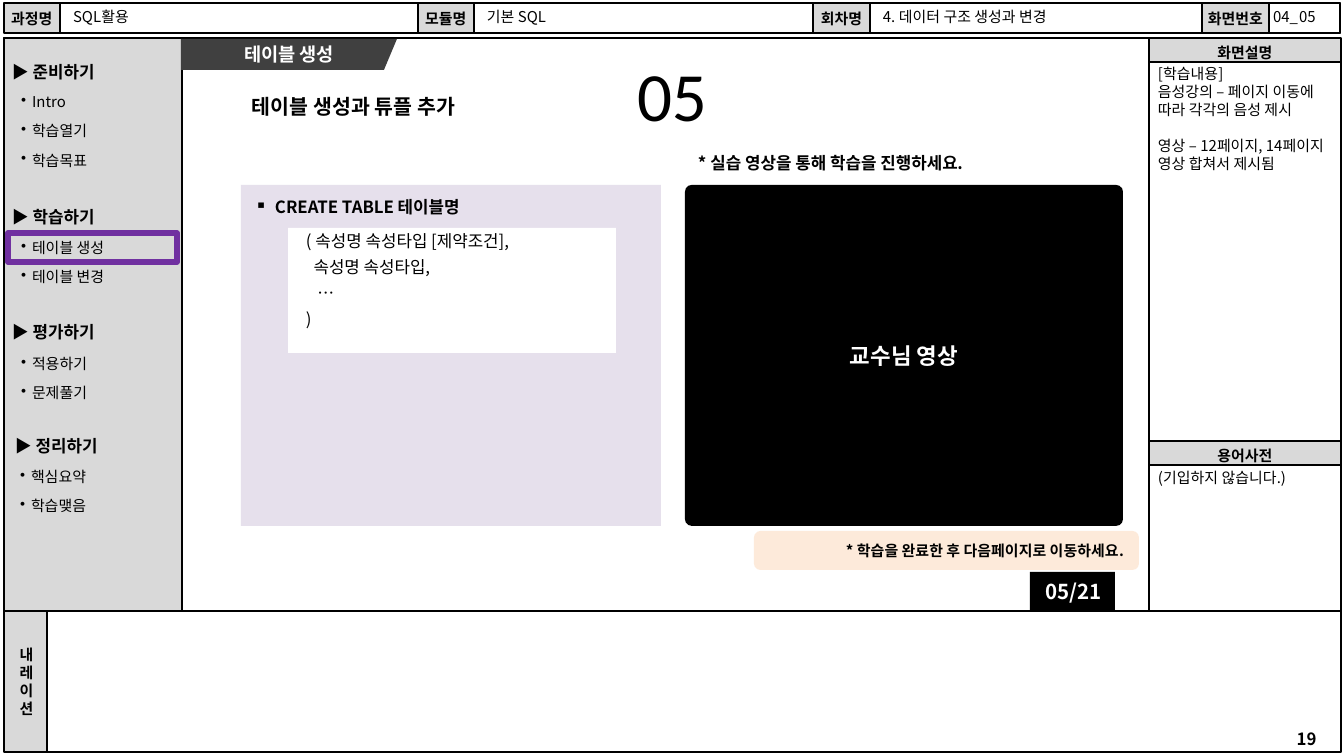
from lxml.etree import SubElement
from pptx import Presentation
from pptx.dml.color import RGBColor
from pptx.enum.shapes import MSO_SHAPE as Shape
from pptx.enum.text import MSO_ANCHOR as Anchor, PP_ALIGN as Align
from pptx.oxml.ns import qn
from pptx.util import Pt

PX = 914400 / 134.4
KOREAN, LATIN = "Noto Sans CJK KR", "Calibri"
BLACK = RGBColor(0, 0, 0)
WHITE = RGBColor(255, 255, 255)
GREY = RGBColor(0xD9, 0xD9, 0xD9)
CHARCOAL = RGBColor(0x40, 0x40, 0x40)
PURPLE = RGBColor(0x70, 0x30, 0xA0)
LILAC = RGBColor(0xE6, 0xE0, 0xEC)
PEACH = RGBColor(0xFD, 0xEA, 0xDA)

# label, value, label left, value left, value right
HEADER = [
    ("과정명", "SQL활용", 4, 60, 418),
    ("모듈명", "기본 SQL", 418, 474, 813),
    ("회차명", "4. 데이터 구조 생성과 변경", 813, 870, 1340),
    ("화면번호", "", 1202, 1269, 1340),
]
# heading, heading left, heading top, items, items left, items top
MENU = [
    ("▶ 준비하기", -1, 55, ["Intro", "학습열기", "학습목표"], 8, 93),
    ("▶ 학습하기", -1, 200, ["테이블 생성", "테이블 변경"], 8, 239),
    ("▶ 평가하기", -1, 315, ["적용하기", "문제풀기"], 8, 355),
    ("▶ 정리하기", 2, 429, ["핵심요약", "학습맺음"], 7, 468),
]
# heading, heading top, paragraphs, text top, text height
PANELS = [
    ("화면설명", 38, ["[학습내용]", "음성강의 – 페이지 이동에 따라 각각의 음성 제시",
                  "영상 – 12페이지, 14페이지 영상 합쳐서 제시됨"], 60, 382),
    ("용어사전", 441, ["(기입하지 않습니다.)"], 464, 149),
]
SYNTAX = ["( 속성명 속성타입 [제약조건],", "  속성명 속성타입,", "   …", ")"]
TAB_OUTLINE = [(181, 39), (397, 39), (384, 70), (181, 70)]


def px(*lengths):
    return [round(length * PX) for length in lengths]


def write(frame, lines, size=8, bold=False, color=BLACK, font=KOREAN, align=Align.LEFT,
          anchor=Anchor.TOP, inset=(13, 7, 13, 7), wrap=True, before=0, after=0,
          spacing=None, bullet=None, indent=0):
    """Fill a text frame, one paragraph per line."""
    frame.word_wrap, frame.vertical_anchor = wrap, anchor
    (frame.margin_left, frame.margin_top,
     frame.margin_right, frame.margin_bottom) = px(*inset)
    for number, line in enumerate(lines):
        para = frame.add_paragraph() if number else frame.paragraphs[0]
        para.alignment = align
        if number and before:
            para.space_before = Pt(before)
        if after:
            para.space_after = Pt(after)
        if spacing:
            para.line_spacing = spacing
        if bullet:
            props = para._p.get_or_add_pPr()
            hang = px(indent)[0]
            props.set("marL", str(hang))
            props.set("indent", str(-hang))
            SubElement(props, qn("a:buChar")).set("char", bullet)
        span = para.add_run()
        span.text = line
        span.font.size, span.font.bold, span.font.name = Pt(size), bold, font
        span.font.color.rgb = color
        SubElement(span._r.get_or_add_rPr(), qn("a:ea")).set("typeface", font)


def paint(box, fill=None, line=None, weight=0.75):
    box.shadow.inherit = False
    if fill is None:
        box.fill.background()
    else:
        box.fill.solid()
        box.fill.fore_color.rgb = fill
    if line is None:
        box.line.fill.background()
    else:
        box.line.color.rgb, box.line.width = line, Pt(weight)


def add_box(page, place, lines=(), kind=Shape.RECTANGLE, fill=None, line=None, weight=0.75,
            **text_format):
    box = page.shapes.add_shape(kind, *px(*place))
    paint(box, fill, line, weight)
    write(box.text_frame, lines, **{"anchor": Anchor.MIDDLE, **text_format})
    return box


def add_text(page, place, lines, **text_format):
    box = page.shapes.add_textbox(*px(*place))
    write(box.text_frame, lines, **text_format)
    return box


def add_label(page, place, lines, **text_format):
    """Add a grey cell with a bold centred caption."""
    add_box(page, place, lines, fill=GREY, line=BLACK, bold=True, align=Align.CENTER,
            wrap=False, **text_format)


def draw_frame(page):
    add_box(page, (4, 38, 1145, 574), fill=WHITE, line=BLACK)
    add_box(page, (4, 38, 178, 585), fill=GREY, line=BLACK)
    add_box(page, (1149, 43, 192, 578), fill=WHITE, line=BLACK)
    add_box(page, (32, 611, 1309, 141), fill=WHITE, line=BLACK)
    add_label(page, (4, 611, 43, 141), list("내레이션"), inset=(13, 7, 11, 7))

    for label, value, left, middle, right in HEADER:
        add_box(page, (middle, 3, right - middle, 30), fill=WHITE, line=BLACK)
        add_label(page, (left, 3, middle - left, 30), [label])
        if value:
            add_text(page, (middle + 1, 3, right - middle - 1, 27), [value],
                     inset=(12, 5, 12, 5), wrap=False)
    for part, left, width in [("04_", 1260, 54), ("05", 1286, 46)]:
        add_text(page, (left, 1, width, 32), [part], wrap=False)

    for heading, left, top, items, items_left, items_top in MENU:
        add_text(page, (left, top, 154, 34), [heading], size=9, bold=True)
        add_text(page, (items_left, items_top, 173, 29 * len(items) - 11), items,
                 inset=(13, 0, 0, 0), before=6, bullet="•", indent=11)
    add_box(page, (8, 233, 169, 29), line=PURPLE, weight=3)

    for heading, top, lines, text_top, height in PANELS:
        add_label(page, (1149, top, 192, 24), [heading], spacing=1.3)
        box = add_text(page, (1146, text_top, 198, height), lines, inset=(12, 5, 12, 5))
        if len(lines) > 1:
            box.text_frame.paragraphs[-1].space_before = Pt(9.4)
    add_text(page, (1275, 722, 63, 34), ["19"], size=9, bold=True, align=Align.CENTER)


def draw_lesson(page):
    outline = page.shapes.build_freeform(*TAB_OUTLINE[0], scale=PX)
    outline.add_line_segments(TAB_OUTLINE[1:], close=True)
    tab = outline.convert_to_shape()
    paint(tab, CHARCOAL)
    write(tab.text_frame, ["테이블 생성"], size=10, bold=True, color=WHITE,
          align=Align.CENTER, anchor=Anchor.MIDDLE)
    add_text(page, (233, 85, 344, 43), ["테이블 생성과 튜플 추가"], size=11, bold=True,
             inset=(19, 9, 19, 9))

    add_box(page, (241, 185, 420, 341), fill=LILAC)
    add_text(page, (242, 190, 409, 34), ["CREATE TABLE 테이블명"], size=9, bold=True,
             bullet="▪", indent=20)
    add_box(page, (288, 228, 328, 125), fill=WHITE)
    add_text(page, (293, 224, 324, 112), SYNTAX, size=9, after=3)

    add_text(page, (685, 146, 438, 34), ["* 실습 영상을 통해 학습을 진행하세요."],
             size=9, bold=True)
    video = add_box(page, (685, 185, 438, 341), ["교수님 영상"], kind=Shape.ROUNDED_RECTANGLE,
                    fill=BLACK, size=12, bold=True, color=WHITE, align=Align.CENTER)
    video.adjustments[0] = 0.02
    add_box(page, (754, 531, 385, 39), ["* 학습을 완료한 후 다음페이지로 이동하세요."],
            kind=Shape.ROUNDED_RECTANGLE, fill=PEACH, bold=True, align=Align.RIGHT)
    add_box(page, (1030, 572, 85, 39), ["05/21"], fill=BLACK, size=11, bold=True,
            color=WHITE, align=Align.RIGHT, anchor=Anchor.TOP, wrap=False)


def main():
    deck = Presentation()
    deck.slide_width, deck.slide_height = px(1344, 756)
    page = deck.slides.add_slide(deck.slide_layouts[5])
    draw_frame(page)
    draw_lesson(page)

    title = page.shapes.title
    title.left, title.top, title.width, title.height = px(67, 31, 1210, 126)
    write(title.text_frame, ["05"], size=37, font=LATIN, align=Align.CENTER,
          anchor=Anchor.MIDDLE)
    # The title stands in front of the white frame.
    title.element.getparent().append(title.element)
    deck.save("out.pptx")


if __name__ == "__main__":
    main()
